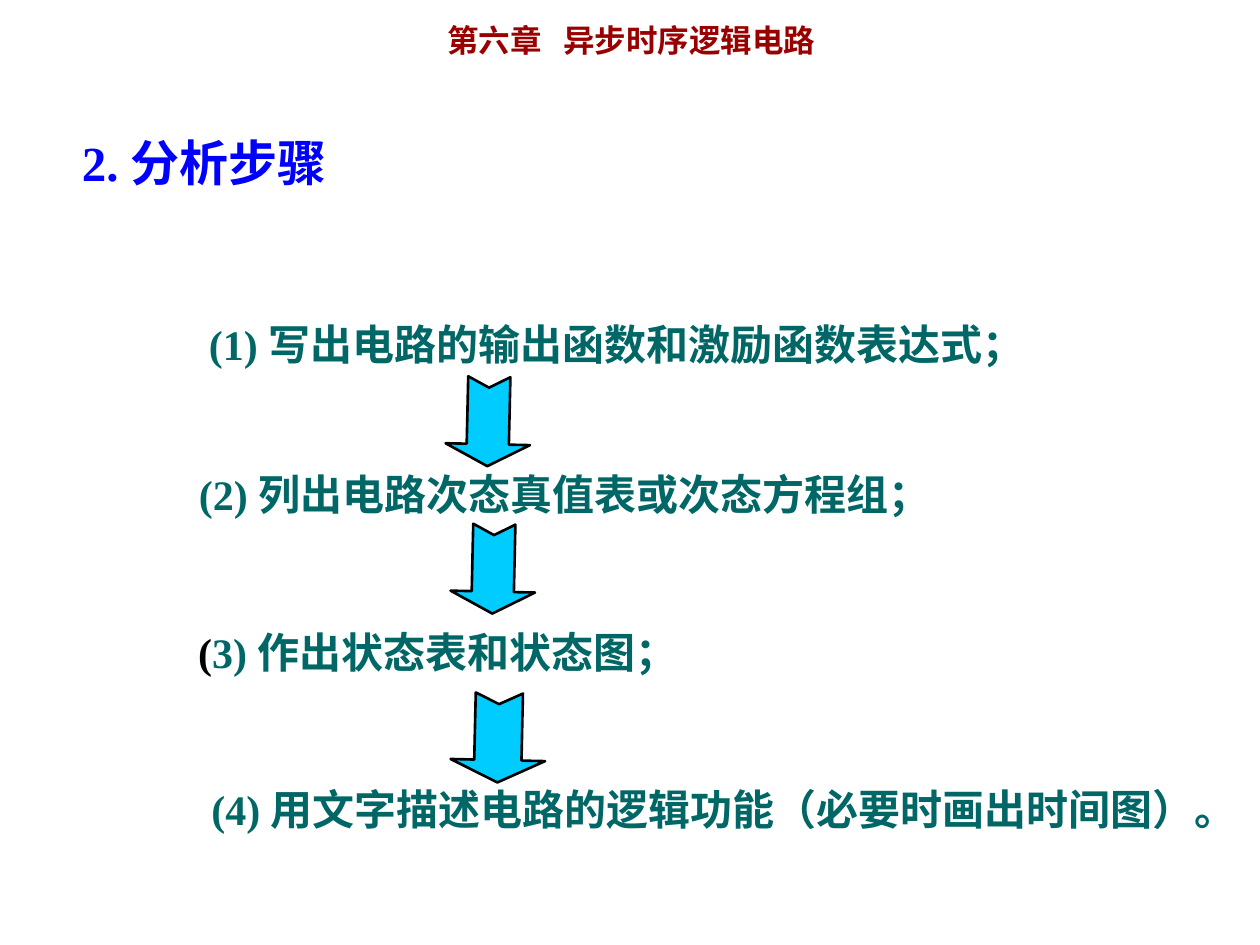
"""Build the slide on the steps of analysing an asynchronous sequential circuit."""
import pptx
import pptx.dml.color
import pptx.enum.shapes
import pptx.enum.text
import pptx.oxml
import pptx.oxml.ns
import pptx.util

Inches = pptx.util.Inches
Pt = pptx.util.Pt
ALIGN = pptx.enum.text.PP_ALIGN
CJK_FONT = "Noto Sans CJK JP"
LATIN_FONT = "Times New Roman"
BLACK, BLUE, TEAL, MAROON, CYAN = "000000", "0000FF", "006666", "990000", "00CCFF"


def color(value):
    """Return the colour of a hex string."""
    return pptx.dml.color.RGBColor.from_string(value)


def set_values(target, values):
    """Set the attributes of an object from a dict."""
    for name, value in values.items():
        setattr(target, name, value)


def add_run(paragraph, text, size, fill, latin=LATIN_FONT):
    """Add a bold run with its Latin and East Asian fonts."""
    run = paragraph.add_run()
    run.text = text
    set_values(run.font, {"size": Pt(size), "bold": True, "name": latin})
    run.font.color.rgb = color(fill)
    properties = run.font._element
    east_asian = pptx.oxml.parse_xml(
        f'<a:ea {pptx.oxml.ns.nsdecls("a")} typeface="{CJK_FONT}"/>')
    properties.append(east_asian)


def fill_box(shape, box, runs, align=ALIGN.LEFT):
    """Place a text shape, write its runs and return its paragraph."""
    left, top, width, height = map(Inches, box)
    set_values(shape, {"left": left, "top": top, "width": width, "height": height})
    frame = shape.text_frame
    set_values(frame, {
        "word_wrap": True,
        "auto_size": pptx.enum.text.MSO_AUTO_SIZE.NONE,
        "vertical_anchor": pptx.enum.text.MSO_ANCHOR.TOP,
        "margin_left": Inches(0.1), "margin_right": Inches(0.1),
        "margin_top": Inches(0.05), "margin_bottom": Inches(0.05),
    })
    paragraph = frame.paragraphs[0]
    paragraph.alignment = align
    for run in runs:
        add_run(paragraph, *run)
    return paragraph


def add_text(slide, box, runs, align=ALIGN.LEFT):
    """Add a text box and return its paragraph."""
    return fill_box(slide.shapes.add_textbox(0, 0, 0, 0), box, runs, align)


def add_chapter(slide):
    """Add the chapter line with a tab between number and name."""
    paragraph = add_text(slide, (3.45, 0.12, 3.68, 0.4),
                         [("第六章\t异步时序逻辑电路", 18, MAROON, CJK_FONT)])
    tabs = pptx.oxml.parse_xml(
        f'<a:tabLst {pptx.oxml.ns.nsdecls("a")}>'
        f'<a:tab pos="{Inches(0.92)}" algn="l"/></a:tabLst>')
    paragraph._p.get_or_add_pPr().append(tabs)


def add_arrow(slide, left, top, height, head):
    """Add a notched arrow that points down to the next step."""
    arrow = slide.shapes.add_shape(
        pptx.enum.shapes.MSO_SHAPE.NOTCHED_RIGHT_ARROW,
        Inches(left), Inches(top), Inches(0.71), Inches(height))
    arrow.rotation = 91.3
    arrow.adjustments[0] = 0.5
    arrow.adjustments[1] = head
    arrow.shadow.inherit = False
    arrow.fill.solid()
    arrow.fill.fore_color.rgb = color(CYAN)
    arrow.line.color.rgb = color(BLACK)
    arrow.line.width = Pt(1.5)


def main():
    """Build and save the presentation."""
    presentation = pptx.Presentation()
    set_values(presentation, {"slide_width": Inches(10), "slide_height": Inches(7.5)})
    slide = presentation.slides.add_slide(presentation.slide_layouts[5])
    add_chapter(slide)
    fill_box(slide.shapes.title, (0.55, 1, 7.92, 0.57), [("2. 分析步骤", 28, BLUE)])

    add_text(slide, (1.56, 2.48, 6.84, 0.5),
             [("(1) 写出电路的输出函数和激励函数表达式；", 24, TEAL)])
    add_text(slide, (1.48, 3.67, 7.58, 0.5),
             [("(2) 列出电路次态真值表或次态方程组；", 24, TEAL)])
    add_text(slide, (0.89, 4.92, 5.17, 0.5),
             [("(", 24, BLACK), ("3) 作出状态表和状态图；", 24, TEAL)], ALIGN.CENTER)
    last_step = add_text(slide, (1.17, 6.17, 8.75, 0.9),
                         [("(4) 用文字描述电路的逻辑功能（必要时画出时间图）。", 24, TEAL)])
    last_step._p.get_or_add_pPr().set("indent", str(Inches(0.41)))

    for arrow in ((3.52, 3.01, 0.67, 0.26), (3.56, 4.18, 0.67, 0.26),
                  (3.6, 5.48, 0.75, 0.25)):
        add_arrow(slide, *arrow)
    presentation.save("out.pptx")


if __name__ == "__main__":
    main()
